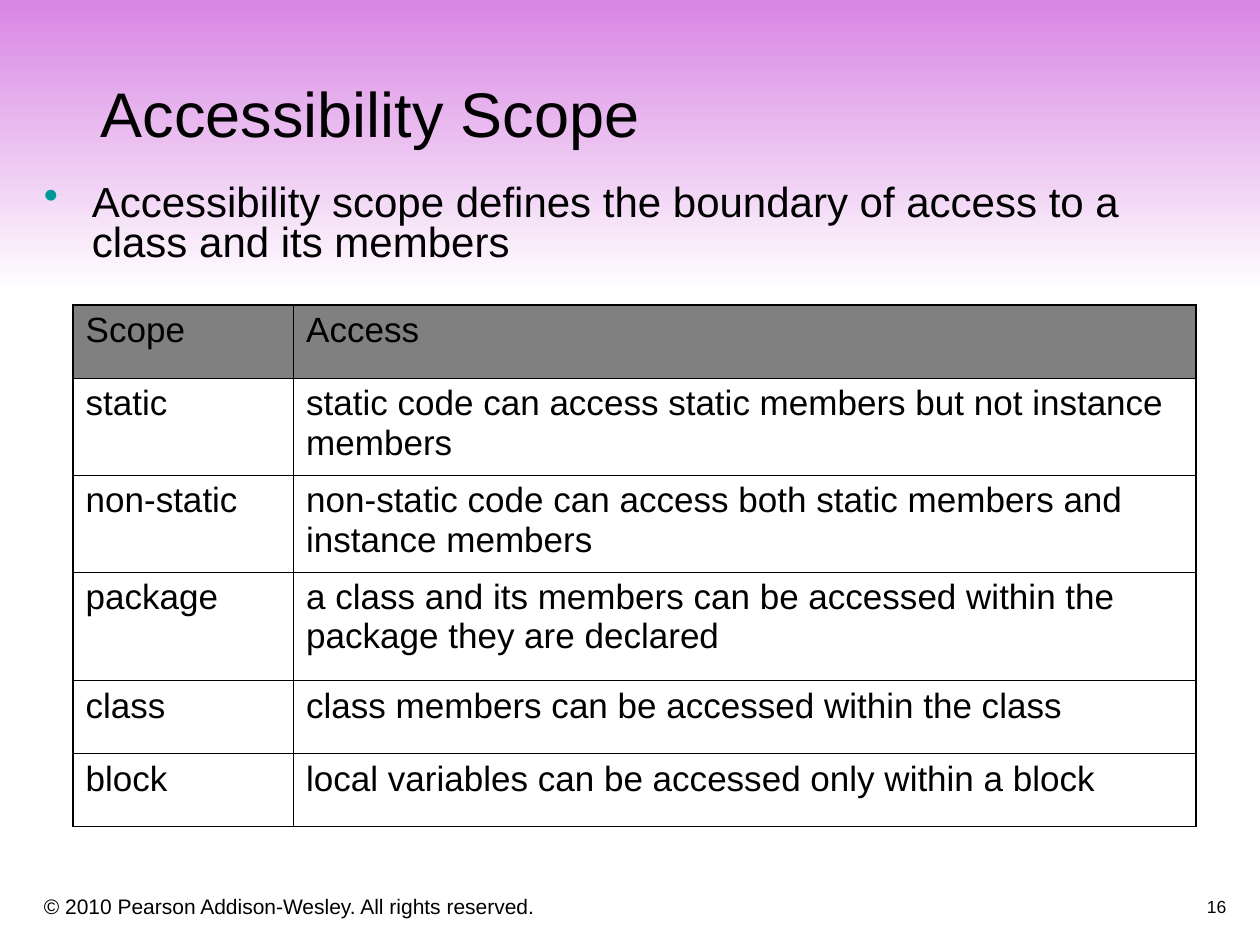
from lxml.etree import SubElement
from pptx import Presentation
from pptx.dml.color import RGBColor
from pptx.enum.shapes import MSO_SHAPE as Shape
from pptx.enum.text import MSO_ANCHOR as Anchor, PP_ALIGN as Align
from pptx.oxml.ns import qn
from pptx.util import Inches, Pt

BLACK = RGBColor(0x00, 0x00, 0x00)
WHITE = RGBColor(0xFF, 0xFF, 0xFF)
ORCHID = RGBColor(0xD8, 0x85, 0xE3)
GRAY = RGBColor(0x80, 0x80, 0x80)
TEAL = RGBColor(0x00, 0x99, 0x99)
FONT = "Arial"
OUTER, INNER = Pt(1.08), Pt(0.45)

SCOPES = [
    ("Scope", "Access"),
    ("static", "static code can access static members but not instance members"),
    ("non-static", "non-static code can access both static members and instance members"),
    ("package", "a class and its members can be accessed within the package they are declared"),
    ("class", "class members can be accessed within the class"),
    ("block", "local variables can be accessed only within a block"),
]
COLUMN_WIDTHS = (1.75, 7.16)
ROW_HEIGHTS = (0.58, 0.77, 0.77, 0.86, 0.58, 0.58)


def style(paragraph, size):
    """Set the common font on a paragraph's runs."""
    for run in paragraph.runs:
        run.font.name = FONT
        run.font.size = Pt(size)
        run.font.color.rgb = BLACK


def add_text(slide, box, text, size, anchor=Anchor.BOTTOM):
    """Place one paragraph of text in a box and return the paragraph."""
    frame = slide.shapes.add_textbox(*map(Inches, box)).text_frame
    frame.word_wrap = True
    frame.vertical_anchor = anchor
    frame.text = text
    paragraph = frame.paragraphs[0]
    style(paragraph, size)
    return paragraph


def add_band(slide, box):
    """Place the band that fades to white behind the heading."""
    band = slide.shapes.add_shape(Shape.RECTANGLE, *map(Inches, box))
    band.shadow.inherit = False
    band.line.fill.background()
    band.fill.gradient()
    band.fill.gradient_angle = 270
    for stop, color in zip(band.fill.gradient_stops, (ORCHID, WHITE)):
        stop.color.rgb = color


def add_definition(slide, box):
    """Place the bulleted definition."""
    definition = add_text(
        slide, box,
        "Accessibility scope defines the boundary of access to a class and its members",
        24, Anchor.TOP)
    definition.line_spacing = 0.8
    properties = definition._p.get_or_add_pPr()
    properties.set("marL", str(Inches(0.38)))
    properties.set("indent", str(-Inches(0.38)))
    bullet_color = SubElement(properties, qn("a:buClr"))
    SubElement(bullet_color, qn("a:srgbClr"), val=str(TEAL))
    SubElement(properties, qn("a:buChar"), char="•")


def set_borders(cell, widths):
    """Draw the left, right, top and bottom borders of a cell."""
    properties = cell._tc.get_or_add_tcPr()
    for side, width in zip("LRTB", widths):
        border = SubElement(properties, qn(f"a:ln{side}"), w=str(width))
        fill = SubElement(border, qn("a:solidFill"))
        SubElement(fill, qn("a:srgbClr"), val=str(BLACK))


def add_scope_table(slide, box):
    """Place the table of scopes and their access rules."""
    last_row, last_column = len(SCOPES) - 1, len(COLUMN_WIDTHS) - 1
    table = slide.shapes.add_table(
        len(SCOPES), len(COLUMN_WIDTHS), *map(Inches, box)).table
    table.first_row = table.horz_banding = False
    for column, width in zip(table.columns, COLUMN_WIDTHS):
        column.width = Inches(width)
    for r, (row, height) in enumerate(zip(table.rows, ROW_HEIGHTS)):
        row.height = Inches(height)
        for c, cell in enumerate(row.cells):
            cell.text = SCOPES[r][c]
            style(cell.text_frame.paragraphs[0], 20)
            on_edge = (c == 0, c == last_column, r == 0, r == last_row)
            set_borders(cell, [OUTER if edge else INNER for edge in on_edge])
            if r == 0:
                cell.fill.solid()
                cell.fill.fore_color.rgb = GRAY
            else:
                cell.fill.background()


def add_footer(slide, copyright_box, number_box):
    """Place the copyright line and the slide number."""
    add_text(slide, copyright_box,
             "© 2010 Pearson Addison-Wesley. All rights reserved.", 12)
    number = add_text(slide, number_box, "16", 10)
    number.alignment = Align.RIGHT
    number.line_spacing = 0.8


def main():
    """Build the slide and save it."""
    presentation = Presentation()
    presentation.slide_width = Inches(10)
    presentation.slide_height = Inches(7.5)
    slide = presentation.slides.add_slide(presentation.slide_layouts[6])
    add_band(slide, (0, -0.01, 10, 2.33))
    add_footer(slide, (0.25, 6.92, 6.08, 0.42), (7.75, 6.83, 2.08, 0.5))
    add_text(slide, (0.7, 0.04, 8.91, 1.2), "Accessibility Scope", 36)
    add_scope_table(slide, (0.58, 2.42, 8.91, 4.14))
    add_definition(slide, (0.25, 1.42, 9.25, 1.25))
    presentation.save("out.pptx")


if __name__ == "__main__":
    main()
